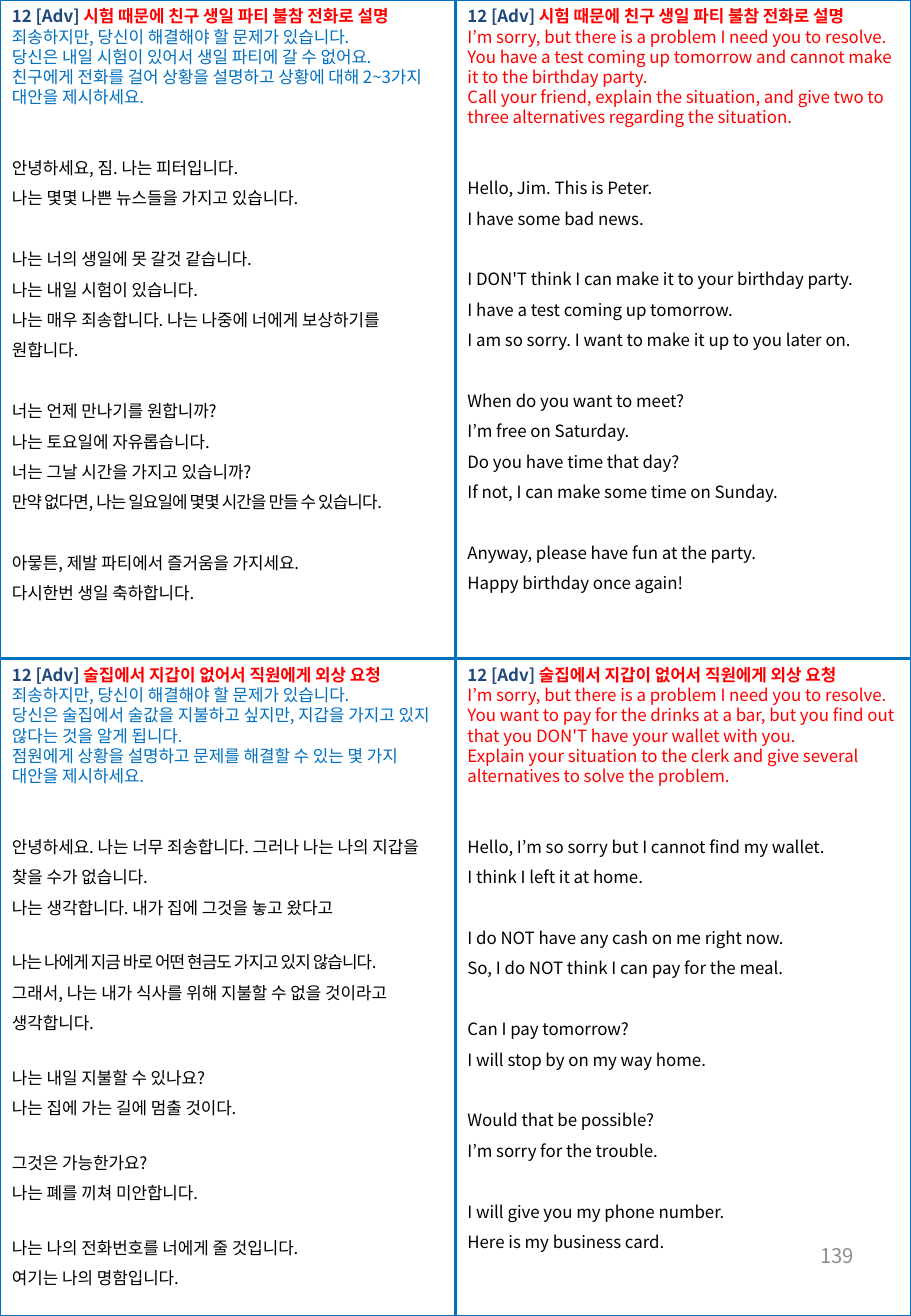
from dataclasses import dataclass

from lxml.etree import SubElement
from pptx import Presentation
from pptx.dml.color import RGBColor
from pptx.enum.shapes import MSO_CONNECTOR, MSO_SHAPE
from pptx.enum.text import MSO_ANCHOR, MSO_AUTO_SIZE, PP_ALIGN
from pptx.oxml.ns import qn
from pptx.util import Inches, Pt


@dataclass(frozen=True)
class Theme:
    font: str = "Noto Sans CJK KR"
    blue: RGBColor = RGBColor(0x00, 0x70, 0xC0)
    navy: RGBColor = RGBColor(0x1F, 0x49, 0x7D)
    red: RGBColor = RGBColor(0xFF, 0x00, 0x00)
    black: RGBColor = RGBColor(0x00, 0x00, 0x00)
    gray: RGBColor = RGBColor(0x8C, 0x8C, 0x8C)
    body_size: Pt = Pt(10)
    number_size: Pt = Pt(12)
    rule_width: Pt = Pt(1.5)
    prompt_pitch: Pt = Pt(12)
    answer_pitch: Pt = Pt(18)
    answer_gap: Pt = Pt(24)


@dataclass(frozen=True)
class Panel:
    """One quarter of the page; prompt holds paragraphs, each a list of lines."""
    column: int
    row: int
    height: float
    title: str
    prompt: list
    prompt_color: RGBColor
    stanzas: list
    stanza_gap: Pt = Pt(18)


THEME = Theme()
WIDTH, HEIGHT = 7.5, 10.83
MIDDLE_X, MIDDLE_Y = 3.75, 5.42
LABEL = "12 [Adv] "
PARTY_TITLE = "시험 때문에 친구 생일 파티 불참 전화로 설명"
WALLET_TITLE = "술집에서 지갑이 없어서 직원에게 외상 요청"
TIGHT_LINES = {
    "만약 없다면, 나는 일요일에 몇몇 시간을 만들 수 있습니다.",
    "나는 나에게 지금 바로 어떤 현금도 가지고 있지 않습니다.",
}

PANELS = [
    Panel(0, 0, 5.03, PARTY_TITLE, [[
        "죄송하지만, 당신이 해결해야 할 문제가 있습니다.",
        "당신은 내일 시험이 있어서 생일 파티에 갈 수 없어요.",
        "친구에게 전화를 걸어 상황을 설명하고 상황에 대해 2~3가지 대안을 제시하세요.",
    ]], THEME.blue, [
        ["안녕하세요, 짐. 나는 피터입니다.",
         "나는 몇몇 나쁜 뉴스들을 가지고 있습니다."],
        ["나는 너의 생일에 못 갈것 같습니다.",
         "나는 내일 시험이 있습니다.",
         "나는 매우 죄송합니다. 나는 나중에 너에게 보상하기를 원합니다."],
        ["너는 언제 만나기를 원합니까?",
         "나는 토요일에 자유롭습니다.",
         "너는 그날 시간을 가지고 있습니까?",
         "만약 없다면, 나는 일요일에 몇몇 시간을 만들 수 있습니다."],
        ["아뭏튼, 제발 파티에서 즐거움을 가지세요.",
         "다시한번 생일 축하합니다."],
    ]),
    Panel(1, 0, 4.93, PARTY_TITLE, [
        ["I’m sorry, but there is a problem I need you to resolve."],
        ["You have a test coming up tomorrow and cannot make it to the birthday party."],
        ["Call your friend, explain the situation, and give two to three "
         "alternatives regarding the situation."],
    ], THEME.red, [
        ["Hello, Jim. This is Peter.",
         "I have some bad news."],
        ["I DON'T think I can make it to your birthday party.",
         "I have a test coming up tomorrow.",
         "I am so sorry. I want to make it up to you later on."],
        ["When do you want to meet?",
         "I’m free on Saturday.",
         "Do you have time that day?",
         "If not, I can make some time on Sunday."],
        ["Anyway, please have fun at the party.",
         "Happy birthday once again!"],
    ]),
    Panel(0, 1, 5.25, WALLET_TITLE, [[
        "죄송하지만, 당신이 해결해야 할 문제가 있습니다.",
        "당신은 술집에서 술값을 지불하고 싶지만, 지갑을 가지고 있지 않다는 것을 알게 됩니다.",
        "점원에게 상황을 설명하고 문제를 해결할 수 있는 몇 가지 대안을 제시하세요.",
    ]], THEME.blue, [
        ["안녕하세요. 나는 너무 죄송합니다. 그러나 나는 나의 지갑을 찾을 수가 없습니다.",
         "나는 생각합니다. 내가 집에 그것을 놓고 왔다고"],
        ["나는 나에게 지금 바로 어떤 현금도 가지고 있지 않습니다.",
         "그래서, 나는 내가 식사를 위해 지불할 수 없을 것이라고 생각합니다."],
        ["나는 내일 지불할 수 있나요?",
         "나는 집에 가는 길에 멈출 것이다."],
        ["그것은 가능한가요?",
         "나는 폐를 끼쳐 미안합니다."],
        ["나는 나의 전화번호를 너에게 줄 것입니다.",
         "여기는 나의 명함입니다."],
    ], Pt(14.4)),
    Panel(1, 1, 5.1, WALLET_TITLE, [
        ["I’m sorry, but there is a problem I need you to resolve."],
        ["You want to pay for the drinks at a bar, but you find out that you "
         "DON'T have your wallet with you."],
        ["Explain your situation to the clerk and give several alternatives "
         "to solve the problem."],
    ], THEME.red, [
        ["Hello, I’m so sorry but I cannot find my wallet.",
         "I think I left it at home."],
        ["I do NOT have any cash on me right now.",
         "So, I do NOT think I can pay for the meal."],
        ["Can I pay tomorrow?",
         "I will stop by on my way home."],
        ["Would that be possible?",
         "I’m sorry for the trouble."],
        ["I will give you my phone number.",
         "Here is my business card."],
    ]),
]


def add_rule(page, start, end):
    rule = page.shapes.add_connector(MSO_CONNECTOR.STRAIGHT, *map(Inches, start + end))
    rule.line.color.rgb = THEME.blue
    rule.line.width = THEME.rule_width
    SubElement(rule._element.spPr, qn("a:effectLst"))


def add_frame(page):
    frame = page.shapes.add_shape(MSO_SHAPE.RECTANGLE, 0, 0, Inches(WIDTH), Inches(HEIGHT))
    frame.shadow.inherit = False
    frame.fill.background()
    frame.line.color.rgb = THEME.blue
    frame.line.width = THEME.rule_width


def add_span(para, text, color, size=THEME.body_size, bold=False):
    span = para.add_run()
    span.text = text
    span.font.size = size
    span.font.bold = bold
    span.font.color.rgb = color
    span.font.name = THEME.font
    properties = span.font._element
    SubElement(properties, qn("a:ea"), typeface=THEME.font)
    if text in TIGHT_LINES:
        properties.set("spc", "-50")


def add_text_frame(page, left, top, width, height):
    box = page.shapes.add_textbox(*map(Inches, (left, top, width, height)))
    box.text_frame.word_wrap = True
    return box.text_frame


def add_para(frame, pitch, gap=Pt(0)):
    para = frame.add_paragraph()
    para.line_spacing = pitch
    para.space_before = gap
    return para


def add_panel(page, panel):
    frame = add_text_frame(page, panel.column * MIDDLE_X, panel.row * MIDDLE_Y,
                           MIDDLE_X, panel.height)
    frame.auto_size = MSO_AUTO_SIZE.SHAPE_TO_FIT_TEXT
    heading = frame.paragraphs[0]
    heading.line_spacing = THEME.prompt_pitch
    add_span(heading, LABEL, THEME.navy, bold=True)
    add_span(heading, panel.title, THEME.red, bold=True)
    for lines in panel.prompt:
        para = add_para(frame, THEME.prompt_pitch)
        for index, line in enumerate(lines):
            if index:
                para.add_line_break()
            add_span(para, line, panel.prompt_color)
    gap = THEME.answer_gap
    for stanza in panel.stanzas:
        for line in stanza:
            add_span(add_para(frame, THEME.answer_pitch, gap), line, THEME.black)
            gap = Pt(0)
        gap = panel.stanza_gap


def add_page_number(page, number):
    frame = add_text_frame(page, 5.38, 10.04, 1.75, 0.58)
    frame.vertical_anchor = MSO_ANCHOR.MIDDLE
    para = frame.paragraphs[0]
    para.alignment = PP_ALIGN.RIGHT
    add_span(para, number, THEME.gray, THEME.number_size)


def main():
    deck = Presentation()
    deck.slide_width, deck.slide_height = Inches(WIDTH), Inches(HEIGHT)
    page = deck.slides.add_slide(deck.slide_layouts[6])
    add_rule(page, (0, MIDDLE_Y), (WIDTH, MIDDLE_Y))
    add_rule(page, (MIDDLE_X, 0), (MIDDLE_X, HEIGHT))
    add_frame(page)
    add_page_number(page, "139")
    for panel in PANELS:
        add_panel(page, panel)
    deck.save("out.pptx")


if __name__ == "__main__":
    main()
